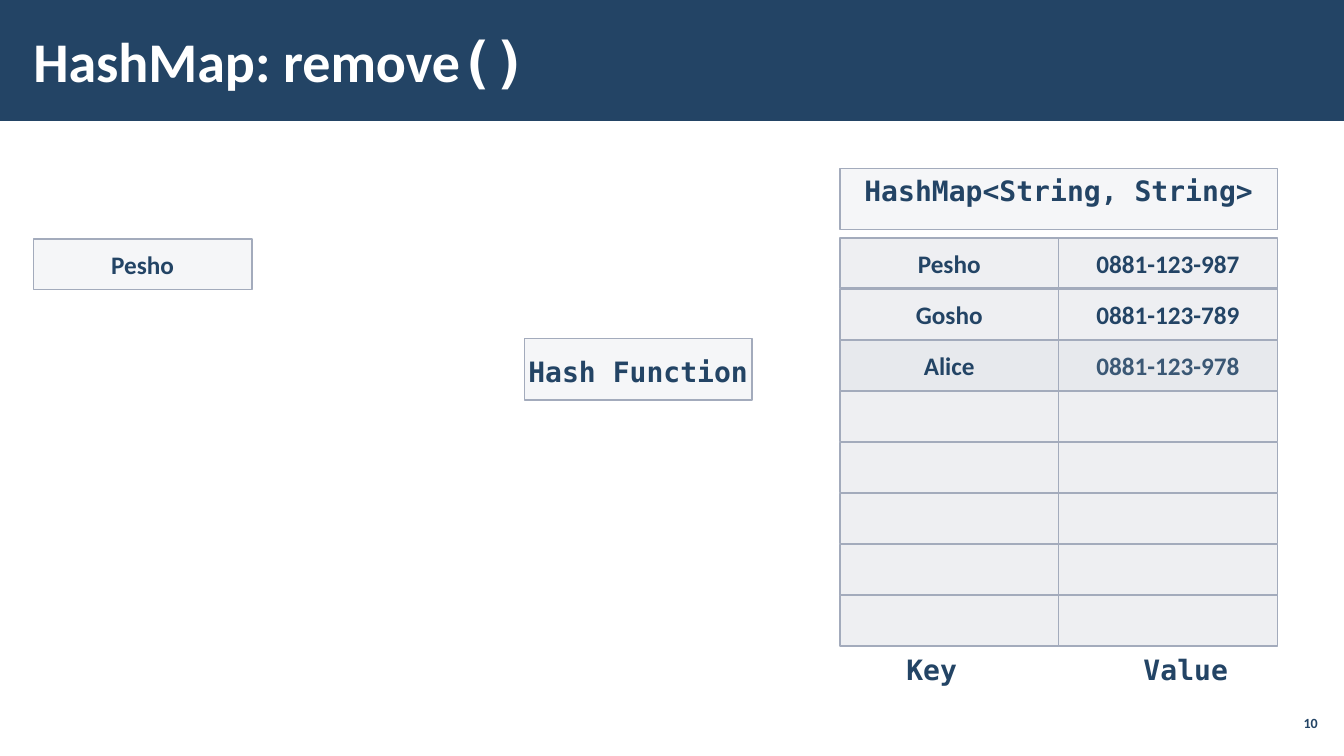
from lxml import etree
from pptx import Presentation
from pptx.dml.color import RGBColor
from pptx.enum.shapes import MSO_SHAPE as Preset
from pptx.enum.text import MSO_ANCHOR as Anchor, PP_ALIGN as Align
from pptx.oxml.ns import qn
from pptx.util import Inches, Pt

NAVY = RGBColor(0x23, 0x44, 0x65)
FADED_NAVY = RGBColor(0x3B, 0x58, 0x75)
PANEL = RGBColor(0xC2, 0xC7, 0xD2)
BORDER = RGBColor(0xA3, 0xAB, 0xBC)
WHITE = RGBColor(0xFF, 0xFF, 0xFF)
SANS, MONO = "Calibri", "DejaVu Sans Mono"

MAP_LEFT, MAP_TOP = 8.33, 2.36
CELL_WIDTH, CELL_HEIGHT, ROW_STEP = 2.17, 0.5, 0.507
ROW_COUNT, ACTIVE_ROW = 8, 2
ENTRIES = [
    ("Pesho", "0881-123-987"),
    ("Gosho", "0881-123-789"),
    ("Alice", "0881-123-978"),
]


def set_font(font, name, size, color):
    font.name, font.size, font.bold = name, Pt(size), True
    font.color.rgb = color


def write(shape, text, name, size, color=NAVY, align=Align.CENTER, anchor=Anchor.MIDDLE, top=0.05):
    """Put one line of text in a shape; top is the upper inset in inches."""
    frame = shape.text_frame
    frame.word_wrap = False
    frame.vertical_anchor = anchor
    frame.margin_left = frame.margin_right = frame.margin_bottom = Inches(0.05)
    frame.margin_top = Inches(top)
    paragraph = frame.paragraphs[0]
    paragraph.text = text
    paragraph.alignment = align
    set_font(paragraph.font, name, size, color)


def add_panel(slide, left, top, width, height, opacity=15):
    """Add a bordered rectangle whose fill has the given opacity in percent."""
    panel = slide.shapes.add_shape(
        Preset.RECTANGLE, Inches(left), Inches(top), Inches(width), Inches(height))
    panel.shadow.inherit = False
    panel.fill.solid()
    panel.fill.fore_color.rgb = PANEL
    color = panel.fill._xPr.find(".//" + qn("a:srgbClr"))
    etree.SubElement(color, qn("a:alpha")).set("val", str(opacity * 1000))
    panel.line.color.rgb = BORDER
    panel.line.width = Pt(1)
    return panel


def add_label(slide, left, top, width, height, text, name, size, **layout):
    box = slide.shapes.add_textbox(Inches(left), Inches(top), Inches(width), Inches(height))
    write(box, text, name, size, **layout)


def add_title(slide):
    band = slide.shapes.add_shape(Preset.RECTANGLE, 0, 0, Inches(13.33), Inches(1.2))
    band.shadow.inherit = False
    band.fill.solid()
    band.fill.fore_color.rgb = NAVY
    band.line.fill.background()
    slide.shapes._spTree.insert(2, band._element)  # behind the title

    title = slide.shapes.title
    title.left, title.top = Inches(0.21), Inches(0.11)
    title.width, title.height = Inches(10.4), Inches(0.97)
    frame = title.text_frame
    frame.vertical_anchor = Anchor.MIDDLE
    frame.margin_left = frame.margin_right = Inches(0.12)
    frame.margin_top = frame.margin_bottom = Inches(0.04)
    paragraph = frame.paragraphs[0]
    paragraph.alignment = Align.LEFT
    for text, name in (("HashMap: remove", SANS), ("()", MONO)):
        run = paragraph.add_run()
        run.text = text
        set_font(run.font, name, 40, WHITE)


def add_hash_map(slide):
    header = add_panel(slide, MAP_LEFT, 1.67, 2 * CELL_WIDTH, 0.61)
    write(header, "HashMap<String, String>", MONO, 20, anchor=Anchor.TOP)
    for row in range(ROW_COUNT):
        entry = ENTRIES[row] if row < len(ENTRIES) else ("", "")
        active = row == ACTIVE_ROW
        for column, text in enumerate(entry):
            cell = add_panel(slide, MAP_LEFT + column * CELL_WIDTH, MAP_TOP + row * ROW_STEP,
                             CELL_WIDTH, CELL_HEIGHT, opacity=39 if active else 28)
            if text:
                color = FADED_NAVY if active and column == 1 else NAVY
                write(cell, text, SANS, 18, color)
    for left, text in ((8.33, "Key"), (10.85, "Value")):
        add_label(slide, left, 6.42, 1.82, 0.44, text, MONO, 20, anchor=Anchor.TOP)


def main():
    presentation = Presentation()
    presentation.slide_width, presentation.slide_height = Inches(13.33), Inches(7.5)
    slide = presentation.slides.add_slide(presentation.slide_layouts[5])
    add_title(slide)
    add_hash_map(slide)
    write(add_panel(slide, 0.33, 2.37, CELL_WIDTH, CELL_HEIGHT), "Pesho", SANS, 18)
    hash_function = add_panel(slide, 5.2, 3.36, 2.26, 0.61)
    write(hash_function, "Hash Function", MONO, 20, anchor=Anchor.TOP, top=0.16)
    add_label(slide, 12.65, 7, 0.47, 0.34, "10", SANS, 10, align=Align.RIGHT)
    presentation.save("out.pptx")


if __name__ == "__main__":
    main()
